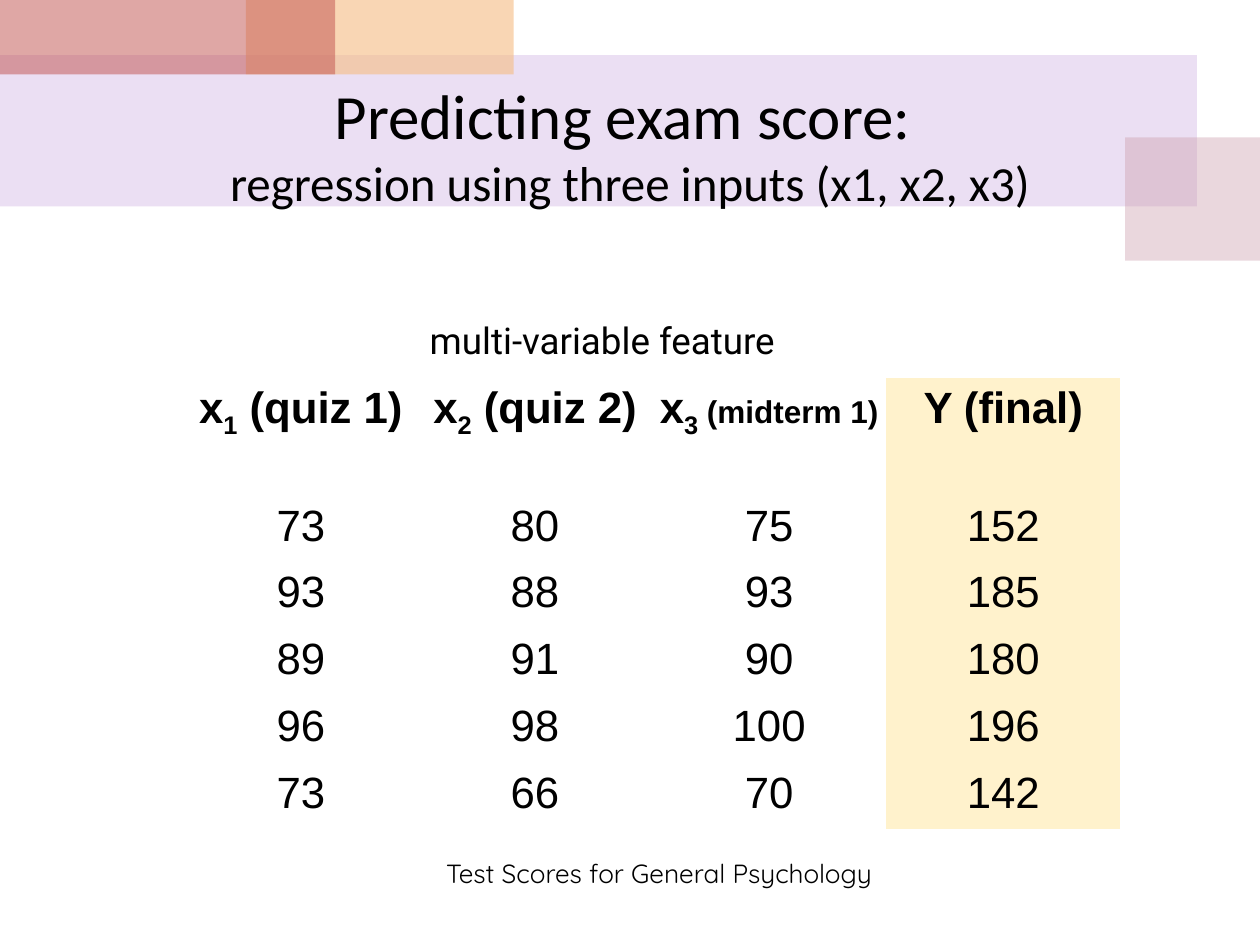
"""Build the exam score regression slide."""
from lxml.etree import SubElement
from pptx import Presentation
from pptx.dml.color import RGBColor as RGB
from pptx.enum.shapes import MSO_SHAPE as SHAPE
from pptx.enum.text import MSO_ANCHOR as ANCHOR, PP_ALIGN as ALIGN
from pptx.oxml.ns import qn
from pptx.util import Pt

BLACK = RGB(0x00, 0x00, 0x00)
CREAM = RGB(0xFF, 0xF2, 0xCC)
LILAC = RGB(0xBE, 0x97, 0xD8)
ROSE = RGB(0xCB, 0x9D, 0xAA)
PEACH = RGB(0xF5, 0xBC, 0x82)
RED = RGB(0xC0, 0x50, 0x4D)
PLAIN = "{2D5ABB26-0587-4C30-8999-92F81FD0307C}"


def add_run(para, text, size, font, bold=False):
    run = para.add_run()
    run.text = text
    run.font.size = Pt(size)
    run.font.name = font
    run.font.bold = bold
    run.font.color.rgb = BLACK
    return run


def add_text(box, inset, lines, font, align):
    frame = slide.shapes.add_textbox(*map(Pt, box)).text_frame
    frame.word_wrap = True
    frame.vertical_anchor = ANCHOR.MIDDLE
    frame.margin_left = frame.margin_right = Pt(inset)
    frame.margin_top = frame.margin_bottom = Pt(inset)
    for i, (text, size) in enumerate(lines):
        para = frame.add_paragraph() if i else frame.paragraphs[0]
        para.alignment = align
        add_run(para, text, size, font)


deck = Presentation()
deck.slide_width, deck.slide_height = Pt(720), Pt(540)
slide = deck.slides.add_slide(deck.slide_layouts[6])

bands = [
    ((0, 31.5, 684, 86.5), LILAC, 30),
    ((643, 78.5, 77, 70.5), ROSE, 40),
    ((140.5, 0, 153, 42.5), PEACH, 60),
    ((0, 0, 191.5, 42.5), RED, 50),
]
for box, color, alpha in bands:
    band = slide.shapes.add_shape(SHAPE.RECTANGLE, *map(Pt, box))
    band.shadow.inherit = False
    band.line.fill.background()
    band.fill.solid()
    band.fill.fore_color.rgb = color
    tint = band.element.spPr.find(".//" + qn("a:srgbClr"))
    SubElement(tint, qn("a:alpha"), val=str(alpha * 1000))

title = [
    ("Predicting exam score: ", 36),
    ("regression using three inputs (x1, x2, x3)", 28),
]
add_text((-0.7, 14.4, 721.4, 135.4), 2.2, title, "Calibri", ALIGN.CENTER)
add_text((222.5, 176.4, 243.4, 35.3), 2.2,
         [("multi-variable feature", 21)], "Roboto", ALIGN.CENTER)

heads = [
    ("x", "1", " (quiz 1)", 25),
    ("x", "2", " (quiz 2)", 25),
    ("x", "3", " (midterm 1)", 18),
    ("Y (final)", "", "", 25),
]
scores = [
    (73, 80, 75, 152),
    (93, 88, 93, 185),
    (89, 91, 90, 180),
    (96, 98, 100, 196),
    (73, 66, 70, 142),
]
shape = slide.shapes.add_table(6, 4, Pt(105), Pt(216), Pt(535.2), Pt(258))
grid = shape.table
grid.first_row = grid.horz_banding = False
shape.element.find(".//" + qn("a:tableStyleId")).text = PLAIN
for col in grid.columns:
    col.width = Pt(133.8)
for r, row in enumerate(grid.rows):
    row.height = Pt(38.2 if r else 67)
    for c, cell in enumerate(row.cells):
        cell.margin_left = cell.margin_right = Pt(2.9)
        cell.margin_top = cell.margin_bottom = Pt(3.6)
        if c == 3:
            cell.fill.solid()
            cell.fill.fore_color.rgb = CREAM
        else:
            cell.fill.background()
        para = cell.text_frame.paragraphs[0]
        para.alignment = ALIGN.CENTER
        if r:
            add_run(para, str(scores[r - 1][c]), 25, "Arial")
            continue
        name, index, label, size = heads[c]
        add_run(para, name, 25, "Arial", True)
        if index:
            sub = add_run(para, index, 25, "Arial", True)
            sub.font._element.set("baseline", "-25000")
            add_run(para, label, size, "Arial", True)

add_text((252, 463, 265, 72), 2.9,
         [("Test Scores for General Psychology", 15)], "Quicksand", ALIGN.LEFT)

deck.save("out.pptx")
